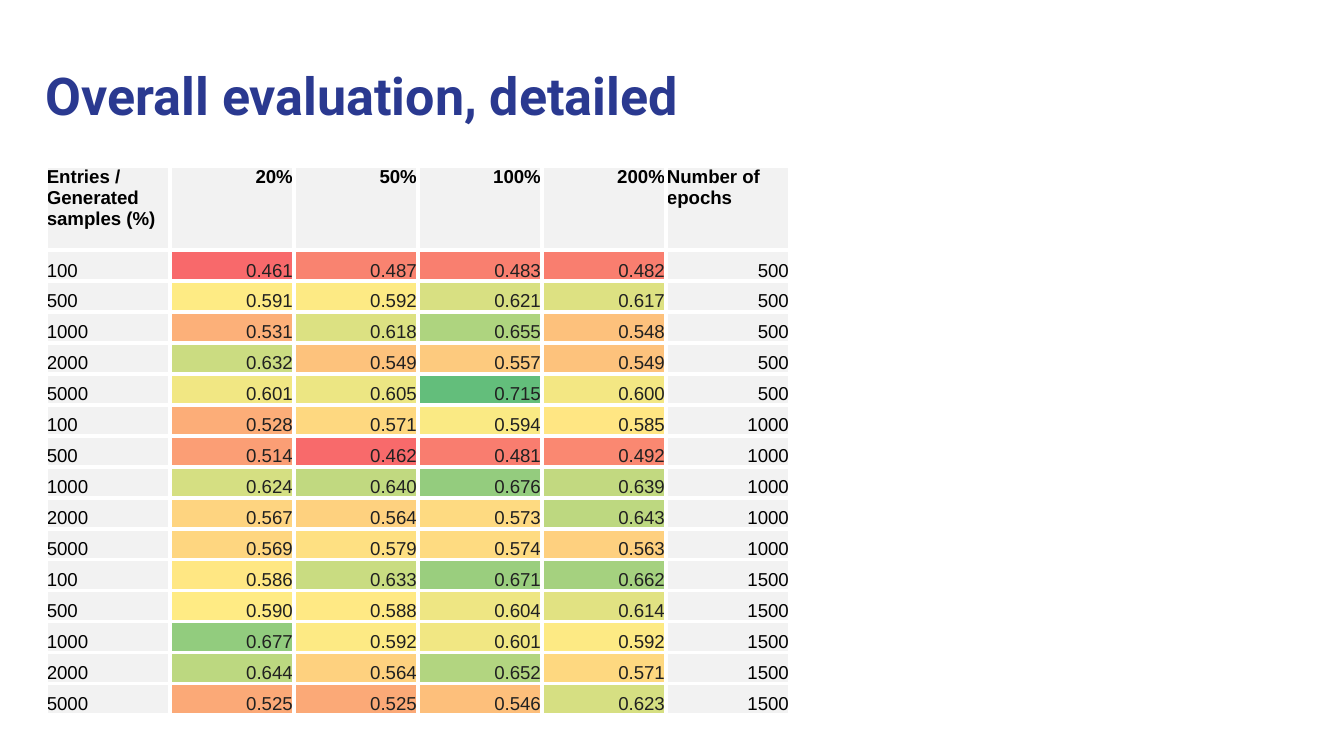
import pptx
import pptx.util
import pptx.dml.color
import pptx.enum.text
import pptx.oxml
import pptx.oxml.ns

Pt = pptx.util.Pt
ALIGN = pptx.enum.text.PP_ALIGN
ANCHOR = pptx.enum.text.MSO_ANCHOR

COLORS = {
    "title": "2A3990",
    "label": "000000",
    "score": "212121",
    "plain": "F2F2F2",
    "border": "FFFFFF",
    "low": "F8696B",
    "mid": "FFEB84",
    "high": "63BE7B",
}
LOW, MID, HIGH = 0.461, 0.59, 0.715

HEAD = ["Entries / Generated samples (%)", "20%", "50%", "100%", "200%",
        "Number of epochs"]
ENTRIES = ["100", "500", "1000", "2000", "5000"]
SCORES = {
    "500": ["0.461 0.487 0.483 0.482",
            "0.591 0.592 0.621 0.617",
            "0.531 0.618 0.655 0.548",
            "0.632 0.549 0.557 0.549",
            "0.601 0.605 0.715 0.600"],
    "1000": ["0.528 0.571 0.594 0.585",
             "0.514 0.462 0.481 0.492",
             "0.624 0.640 0.676 0.639",
             "0.567 0.564 0.573 0.643",
             "0.569 0.579 0.574 0.563"],
    "1500": ["0.586 0.633 0.671 0.662",
             "0.590 0.588 0.604 0.614",
             "0.677 0.592 0.601 0.592",
             "0.644 0.564 0.652 0.571",
             "0.525 0.525 0.546 0.623"],
}


def rgb(name):
    return pptx.dml.color.RGBColor.from_string(COLORS[name])


def heat(score):
    """Blend low, mid and high colours by where the score falls."""
    if score < MID:
        start, end, share = rgb("low"), rgb("mid"), (score - LOW) / (MID - LOW)
    else:
        start, end, share = rgb("mid"), rgb("high"), (score - MID) / (HIGH - MID)
    return pptx.dml.color.RGBColor(
        *(round(a + (b - a) * share) for a, b in zip(start, end)))


class Deck:
    """Holds the text style and the current slide."""

    title_font, title_size = "Roboto", 27.9
    table_font, table_size = "Arial", 10
    border = 2.25

    def __init__(self, width, height):
        self.show = pptx.Presentation()
        self.show.slide_width, self.show.slide_height = Pt(width), Pt(height)
        self.slide = self.show.slides.add_slide(self.show.slide_layouts[6])

    def style(self, para, font, size, color, bold):
        for run in para.runs:
            run.font.name = font
            run.font.size = Pt(size)
            run.font.bold = bold
            run.font.color.rgb = rgb(color)

    def title(self, text, left, top, width, height):
        box = self.slide.shapes.add_textbox(
            Pt(left), Pt(top), Pt(width), Pt(height))
        frame = box.text_frame
        frame.word_wrap = True
        frame.margin_left = frame.margin_right = 0
        frame.margin_top = frame.margin_bottom = 0
        frame.text = text
        self.style(frame.paragraphs[0], self.title_font, self.title_size,
                   "title", True)

    def edge(self, cell):
        """Draw a solid border on all four sides; call before the fill."""
        props = cell._tc.get_or_add_tcPr()
        for side in ("lnL", "lnR", "lnT", "lnB"):
            props.append(pptx.oxml.parse_xml(
                f'<a:{side} {pptx.oxml.ns.nsdecls("a")} w="{Pt(self.border)}">'
                f'<a:solidFill><a:srgbClr val="{COLORS["border"]}"/>'
                f'</a:solidFill></a:{side}>'))

    def cell(self, cell, text, fill, color, align, head):
        self.edge(cell)
        cell.fill.solid()
        cell.fill.fore_color.rgb = fill
        cell.margin_left = cell.margin_right = cell.margin_top = Pt(0.6)
        cell.margin_bottom = 0
        cell.vertical_anchor = ANCHOR.TOP if head else ANCHOR.BOTTOM
        cell.text_frame.text = text
        para = cell.text_frame.paragraphs[0]
        para.alignment = align
        self.style(para, self.table_font, self.table_size, color, head)

    def table(self, rows, left, top, col_width, head_height, row_height):
        count = len(rows[0])
        height = head_height + row_height * (len(rows) - 1)
        table = self.slide.shapes.add_table(
            len(rows), count, Pt(left), Pt(top),
            Pt(col_width * count), Pt(height)).table
        table.first_row = table.horz_banding = False
        for col in table.columns:
            col.width = Pt(col_width)
        for r, texts in enumerate(rows):
            head = r == 0
            table.rows[r].height = Pt(head_height if head else row_height)
            for c, text in enumerate(texts):
                score = not head and 0 < c < count - 1
                flush = c == 0 or (head and c == count - 1)
                self.cell(table.cell(r, c), text,
                          heat(float(text)) if score else rgb("plain"),
                          "score" if score else "label",
                          ALIGN.LEFT if flush else ALIGN.RIGHT, head)

    def save(self):
        self.show.save("out.pptx")


def main():
    deck = Deck(720, 405)
    deck.title("Overall evaluation, detailed", 24.5, 33.8, 671, 47.5)
    rows = [HEAD]
    for epochs, lines in SCORES.items():
        for entry, line in zip(ENTRIES, lines):
            rows.append([entry, *line.split(), epochs])
    deck.table(rows, left=24.5, top=88.8, col_width=66.45,
               head_height=45.2, row_height=16.6)
    deck.save()


if __name__ == "__main__":
    main()
